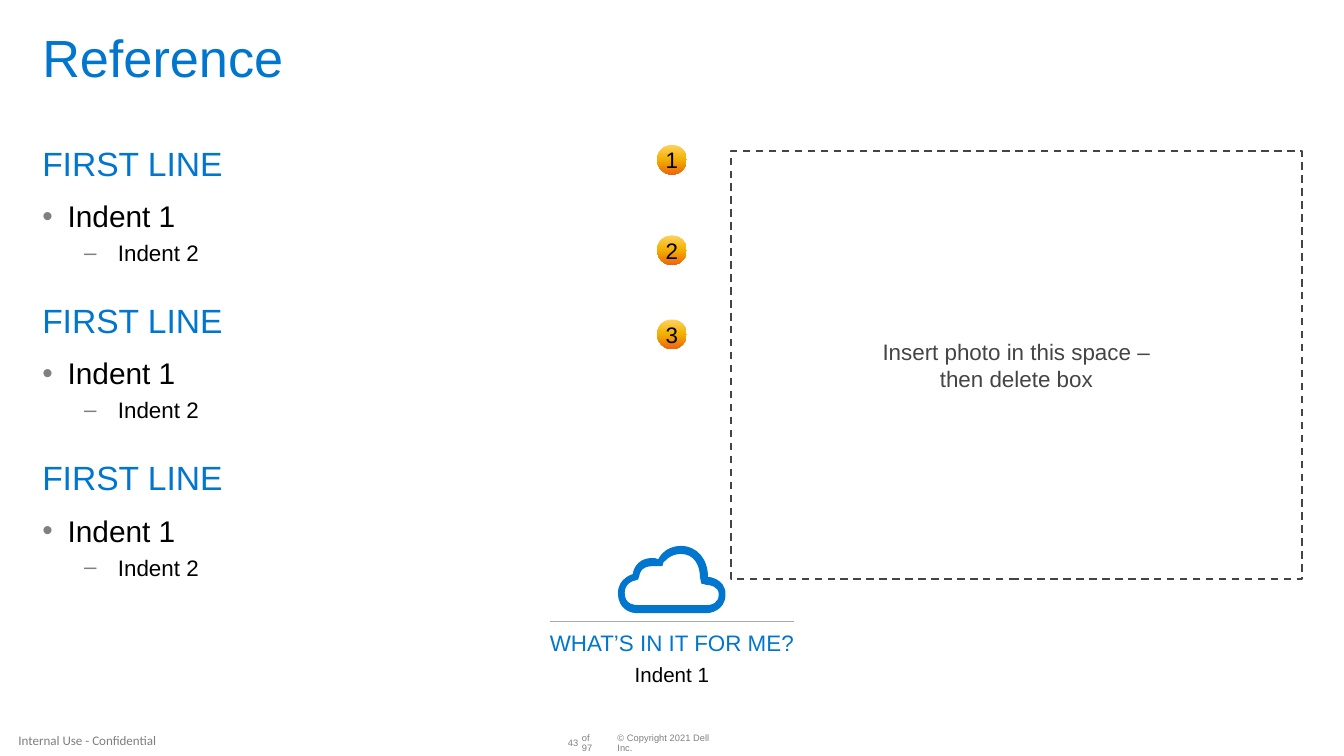
from pptx import Presentation
from pptx.dml.color import RGBColor
from pptx.enum.dml import MSO_LINE
from pptx.enum.shapes import MSO_CONNECTOR, MSO_SHAPE
from pptx.enum.text import MSO_ANCHOR as Anchor, PP_ALIGN as Align
from pptx.oxml import parse_xml
from pptx.oxml.ns import nsdecls, qn
from pptx.util import Cm, Pt

COLORS = {
    "blue": "0076CE", "black": "000000", "dark": "444444", "grey": "808080",
    "label": "7F7F7F", "rule": "AAAAAA",
    "light": "FFD25E", "amber": "F2AF00", "orange": "EE6411",
}

# Content
TITLE = "Reference"
SECTIONS = [("FIRST LINE", "Indent 1", "Indent 2")] * 3
PHOTO_LINES = ["Insert photo in this space –", "then delete box"]
BADGES = [("1", 2.74), ("2", 4.45), ("3", 6.04)]  # label, top in cm
BENEFIT = ("WHAT’S IN IT FOR ME?", "Indent 1")
# text, box in cm, format
FOOTER = [
    ("© Copyright 2021 Dell Inc.", (11.67, 13.95, 2.06, 0.2), {}),
    ("43", (10.73, 13.95, 0.2, 0.2), {"align": Align.RIGHT}),
    ("of 97", (11, 13.95, 0.38, 0.2), {}),
    ("Internal Use - Confidential", (0, 13.69, 3.3, 0.6),
     {"size": 7, "font": "Calibri", "color": "label", "align": Align.CENTER,
      "line_spacing": 1}),
]
LEVELS = [
    {"size": 18, "color": "blue", "before": 18},
    {"size": 16, "before": 8, "bullet": "•", "indent": (0.48, -0.48)},
    {"size": 12, "before": 3, "bullet": "–", "indent": (1.43, -0.64)},
]

# Cloud contours: a start, then line ends (2 numbers) or curves (6 numbers)
CLOUD_LEFT, CLOUD_TOP, CLOUD_UNIT = 11.68, 10.32, 0.0254
CLOUD = [
    [(47, 6), (57, 6, 61, 15, 61, 23), (62, 28), (66, 29),
     (68, 29, 75, 30, 75, 36), (75, 43, 69, 44, 67, 44), (14, 44),
     (13, 44, 5, 44, 5, 35), (5, 28, 11, 26, 12, 26), (15, 25), (16, 22),
     (16, 21, 17, 15, 26, 15), (27, 15, 28, 15, 29, 15), (33, 15), (34, 12),
     (35, 12, 38, 6, 47, 6)],
    [(47, 0), (34, 0, 30, 10, 30, 10), (28, 9, 27, 9, 26, 9),
     (12, 9, 11, 21, 11, 21), (11, 21, 0, 24, 0, 35),
     (0, 47, 9, 50, 14, 50), (67, 50), (67, 50, 80, 49, 80, 36),
     (80, 24, 67, 23, 67, 23), (67, 10, 59, 0, 47, 0)],
]


def rgb(name):
    return RGBColor.from_string(COLORS[name])


def write(frame, text, size=12, color="black", font="Arial", align=Align.LEFT,
          before=0, line_spacing=1, bullet=None, indent=(0, 0)):
    """Add one paragraph, using the empty first one if it is free."""
    first = not frame.paragraphs[0].runs
    paragraph = frame.paragraphs[0] if first else frame.add_paragraph()
    paragraph.alignment = align
    paragraph.line_spacing = line_spacing
    paragraph.space_before = Pt(0 if first else before)
    if bullet:
        properties = paragraph._p.get_or_add_pPr()
        properties.set("marL", str(Cm(indent[0])))
        properties.set("indent", str(Cm(indent[1])))
        for tag, content in (
                ("buClr", f'><a:srgbClr val="{COLORS["grey"]}"/></a:buClr>'),
                ("buFont", f' typeface="{font}"/>'),
                ("buChar", f' char="{bullet}"/>')):
            properties.append(parse_xml(f'<a:{tag} {nsdecls("a")}{content}'))
    run = paragraph.add_run()
    run.text = text
    run.font.size = Pt(size)
    run.font.name = font
    run.font.color.rgb = rgb(color)


def prepare(frame, anchor):
    frame.margin_left = frame.margin_right = frame.margin_top = frame.margin_bottom = 0
    frame.word_wrap = True
    frame.vertical_anchor = anchor
    return frame


def add_box(slide, box, anchor=Anchor.TOP):
    return prepare(slide.shapes.add_textbox(*map(Cm, box)).text_frame, anchor)


def add_badge(slide, label, top):
    shape = slide.shapes.add_shape(MSO_SHAPE.OVAL, Cm(12.42), Cm(top), Cm(0.56), Cm(0.56))
    stops = "".join(
        f'<a:gs pos="{position}"><a:srgbClr val="{COLORS[name]}"/></a:gs>'
        for position, name in ((0, "light"), (50000, "amber"), (100000, "orange")))
    shape._element.spPr.append(parse_xml(
        f'<a:gradFill {nsdecls("a")} rotWithShape="1"><a:gsLst>{stops}</a:gsLst>'
        '<a:lin ang="5400000" scaled="0"/></a:gradFill>'))
    shape.line.fill.background()
    shape.shadow.inherit = False
    write(prepare(shape.text_frame, Anchor.MIDDLE), label, align=Align.CENTER)


def add_cloud(slide):
    inner, outer = CLOUD
    builder = slide.shapes.build_freeform(*inner[0], scale=Cm(CLOUD_UNIT))
    builder.add_line_segments([part[-2:] for part in inner[1:]], close=False)
    builder.move_to(*outer[0])
    builder.add_line_segments([part[-2:] for part in outer[1:]], close=True)
    cloud = builder.convert_to_shape(Cm(CLOUD_LEFT), Cm(CLOUD_TOP))

    # Bend the segments that have control points
    segments = list(cloud._element.iter(qn("a:lnTo")))
    for segment, part in zip(segments, inner[1:] + outer[1:]):
        if len(part) == 6:
            points = "".join(f'<a:pt x="{x}" y="{y}"/>'
                             for x, y in zip(part[::2], part[1::2]))
            segment.getparent().replace(segment, parse_xml(
                f'<a:cubicBezTo {nsdecls("a")}>{points}</a:cubicBezTo>'))

    cloud.fill.solid()
    cloud.fill.fore_color.rgb = rgb("blue")
    cloud.line.fill.background()
    cloud.shadow.inherit = False


def main():
    presentation = Presentation()
    presentation.slide_width, presentation.slide_height = Cm(25.4), Cm(14.29)
    slide = presentation.slides.add_slide(presentation.slide_layouts[6])

    # Footer
    for text, box, style in FOOTER:
        style = {"size": 5, "color": "grey", "line_spacing": 0.9, **style}
        write(add_box(slide, box, Anchor.MIDDLE), text, **style)

    # Cloud and rule
    add_cloud(slide)
    rule = slide.shapes.add_connector(
        MSO_CONNECTOR.STRAIGHT, Cm(10.39), Cm(11.74), Cm(15.01), Cm(11.74))
    rule.line.color.rgb = rgb("rule")
    rule.line.width = Pt(0.5)
    rule._element.spPr.append(parse_xml(f'<a:effectLst {nsdecls("a")}/>'))

    # Title and outline
    write(add_box(slide, (0.8, 0.62, 23.82, 1.07)), TITLE,
          size=28, color="blue", line_spacing=0.9)
    outline = add_box(slide, (0.8, 2.7, 11.11, 8.89))
    for section in SECTIONS:
        for text, level in zip(section, LEVELS):
            write(outline, text, **level)

    # Photo space
    photo = slide.shapes.add_shape(
        MSO_SHAPE.RECTANGLE, Cm(13.81), Cm(2.86), Cm(10.8), Cm(8.09))
    photo.fill.background()
    photo.line.color.rgb = rgb("dark")
    photo.line.width = Pt(1)
    photo.line.dash_style = MSO_LINE.DASH
    photo.shadow.inherit = False
    photo.text_frame.vertical_anchor = Anchor.MIDDLE
    for text in PHOTO_LINES:
        write(photo.text_frame, text, color="dark", align=Align.CENTER)

    # Numbered badges
    for label, top in BADGES:
        add_badge(slide, label, top)

    # Benefit text
    benefit = add_box(slide, (6.35, 11.9, 12.7, 1.59))
    for text, size, color in zip(BENEFIT, (12, 11), ("blue", "black")):
        write(benefit, text, size=size, color=color, align=Align.CENTER, before=3)

    presentation.save("out.pptx")


if __name__ == "__main__":
    main()
